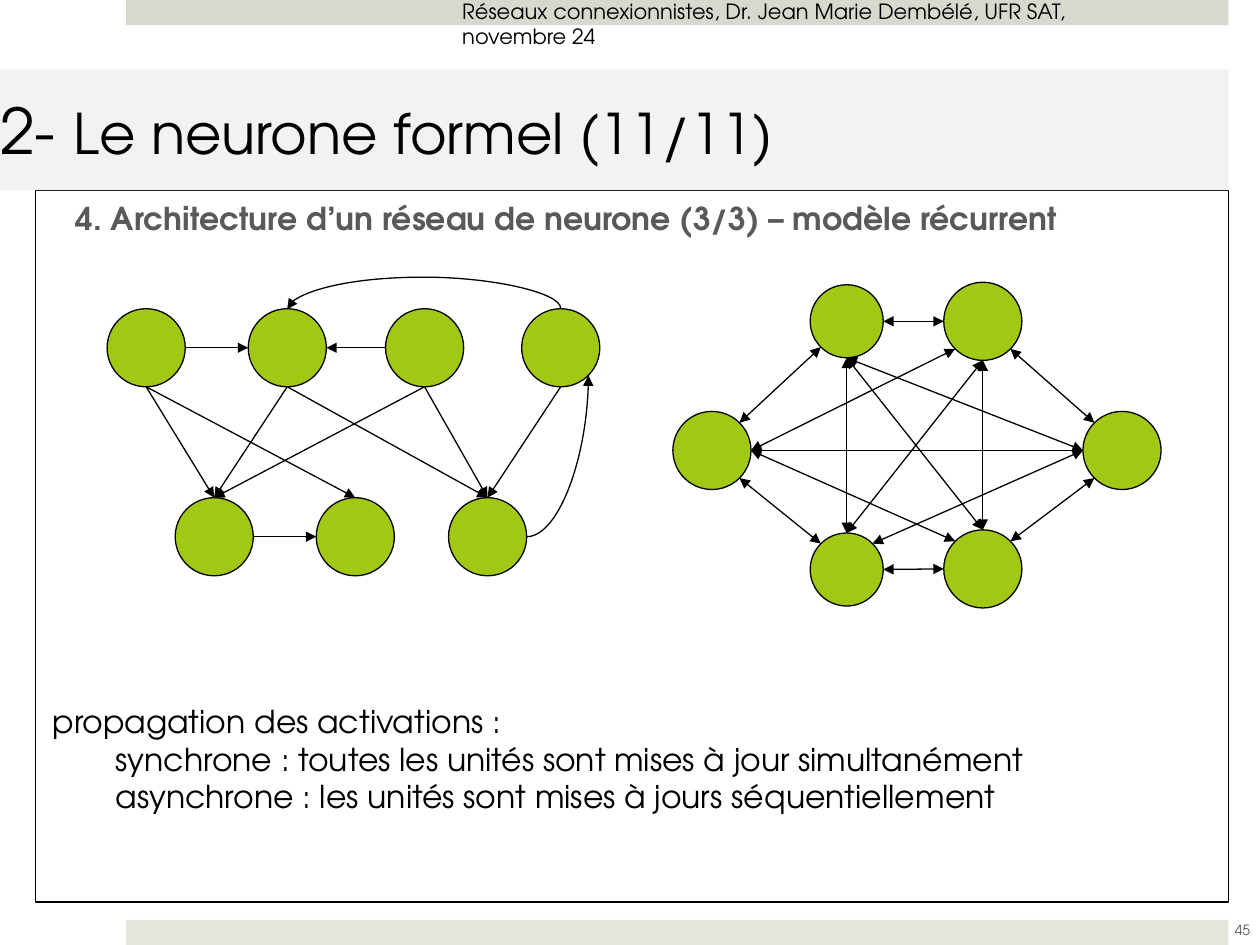
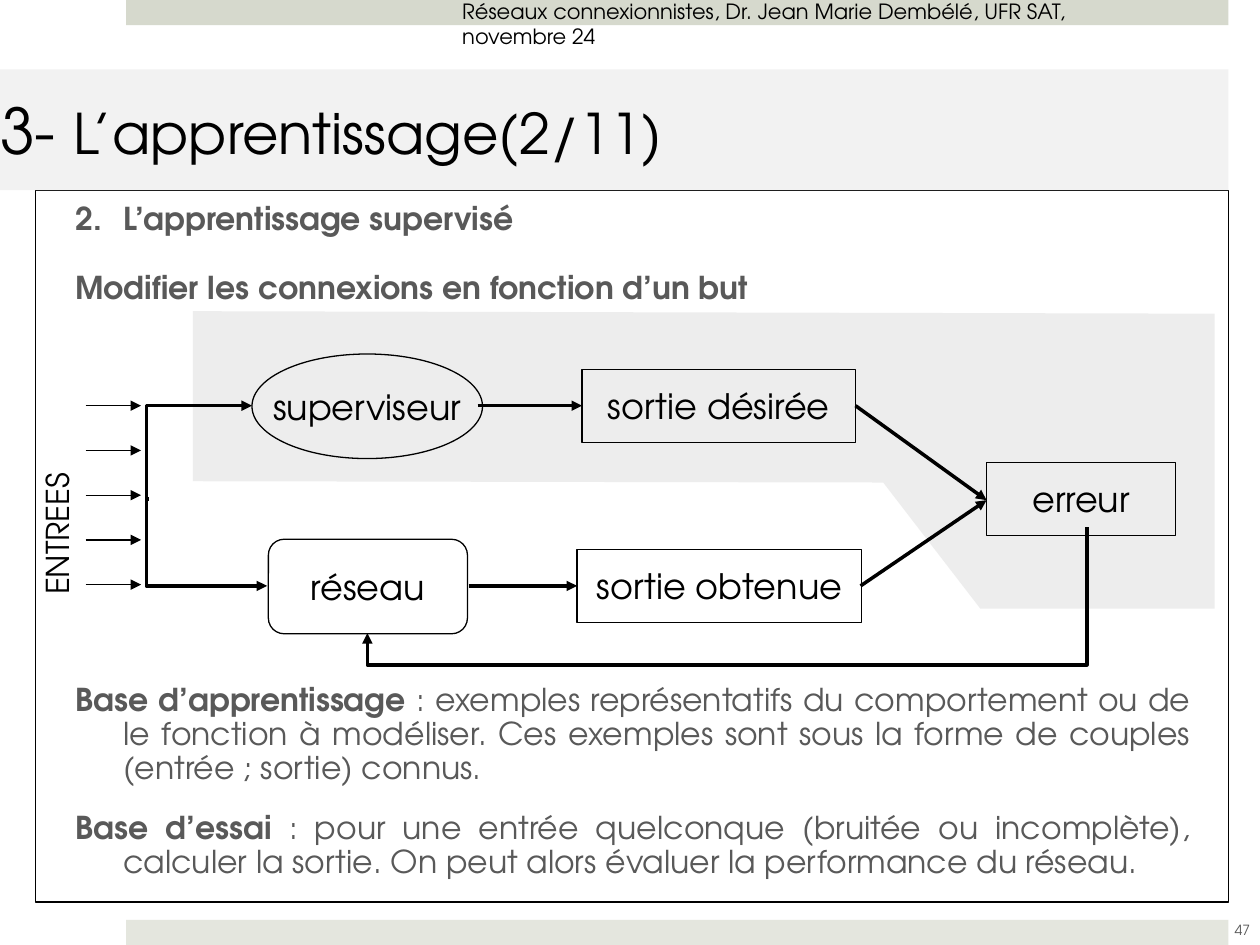
from dataclasses import dataclass
from math import sqrt

from lxml import etree
from pptx import Presentation
from pptx.dml.color import RGBColor
from pptx.enum.shapes import MSO_CONNECTOR, MSO_SHAPE
from pptx.enum.text import MSO_ANCHOR, PP_ALIGN
from pptx.oxml.ns import qn
from pptx.util import Emu, Inches, Pt

W, H = Inches(10), Inches(7.5)
COLS = 100  # the grid has square cells, 100 columns by 75 rows
FONT = "TeX Gyre Adventor"

BLACK = RGBColor(0, 0, 0)
GREY = RGBColor(0x59, 0x59, 0x59)
BAND_TOP = RGBColor(0xD6, 0xD9, 0xCD)
BAND_BOTTOM = RGBColor(0xE4, 0xE6, 0xDE)
TITLE_FILL = RGBColor(0xF2, 0xF2, 0xF2)
ZONE_FILL = RGBColor(0xDD, 0xDD, 0xDD)
NODE_FILL = RGBColor(0xA2, 0xC8, 0x16)

RECT, OVAL, ROUND = MSO_SHAPE.RECTANGLE, MSO_SHAPE.OVAL, MSO_SHAPE.ROUNDED_RECTANGLE
STRAIGHT = MSO_CONNECTOR.STRAIGHT
LEFT, CENTER, JUSTIFY = PP_ALIGN.LEFT, PP_ALIGN.CENTER, PP_ALIGN.JUSTIFY
TOP, MIDDLE = MSO_ANCHOR.TOP, MSO_ANCHOR.MIDDLE

THIN, THICK = 0.75, 2
HEADER = "Réseaux connexionnistes, Dr. Jean Marie Dembélé, UFR SAT, novembre 24"
HANGING = dict(align=JUSTIFY, line_spacing=0.9, margin=3.8, indent=-3.8, color=GREY)

Point = tuple[float, float]
Box = tuple[float, float, float, float]


@dataclass(frozen=True)
class Node:
    """A neuron, given by its centre and radius in grid cells."""
    x: float
    y: float
    r: float = 3.1

    def side(self, compass: str) -> Point:
        dx = ("E" in compass) - ("W" in compass)
        dy = ("S" in compass) - ("N" in compass)
        reach = self.r / sqrt(dx * dx + dy * dy)
        return self.x + dx * reach, self.y + dy * reach


@dataclass(frozen=True)
class Block:
    label: str
    kind: MSO_SHAPE
    box: Box


@dataclass(frozen=True)
class Route:
    """A bent or curved arrow: unrotated box, geometry and turns."""
    geometry: str
    box: Box
    weight: float
    adjust: float | None = None
    rotation: int = 0
    flip: str = ""


def cells(n: float) -> Emu:
    return Emu(round(n * W / COLS))


def write(tf, *runs, size=18, color=BLACK, bold=False, align=LEFT, before=0,
          line_spacing=None, margin=0, indent=0, number=None):
    """Add a paragraph; a run is a text, or a text with its own format."""
    p = tf.paragraphs[0]
    if p.runs:
        p = tf.add_paragraph()
    pPr = p._p.get_or_add_pPr()
    if margin:
        pPr.set("marL", str(cells(margin)))
        pPr.set("indent", str(cells(indent)))
    if number:
        etree.SubElement(pPr, qn("a:buAutoNum"), type="arabicPeriod", startAt=str(number))
    p.alignment = align
    p.space_before = Pt(before)
    if line_spacing:
        p.line_spacing = line_spacing
    for run in runs:
        text, own = (run, {}) if isinstance(run, str) else run
        r = p.add_run()
        r.text = text
        r.font.name = FONT
        r.font.size = Pt(own.get("size", size))
        r.font.bold = own.get("bold", bold)
        r.font.color.rgb = color


def set_frame(tf, insets: Box = (1, 0.5, 1, 0.5), anchor=TOP, wrap=True):
    left, top, right, bottom = map(cells, insets)
    tf.margin_left, tf.margin_top, tf.margin_right, tf.margin_bottom = left, top, right, bottom
    tf.vertical_anchor = anchor
    tf.word_wrap = wrap


def add_text_box(s, box: Box, anchor=TOP):
    sp = s.shapes.add_textbox(*map(cells, box))
    set_frame(sp.text_frame, anchor=anchor)
    return sp


def paint(sp, fill=None, outline: float | None = None):
    sp.shadow.inherit = False
    if fill is None:
        sp.fill.background()
    else:
        sp.fill.solid()
        sp.fill.fore_color.rgb = fill
    if outline is None:
        sp.line.fill.background()
    else:
        sp.line.color.rgb = BLACK
        sp.line.width = Pt(outline)


def add_shape(s, kind, box: Box, fill=None, outline: float | None = None):
    sp = s.shapes.add_shape(kind, *map(cells, box))
    paint(sp, fill, outline)
    return sp


def arrow(s, start: Point, end: Point, weight: float = THIN, both=False):
    cx = s.shapes.add_connector(STRAIGHT, *map(cells, (*start, *end)))
    cx.line.color.rgb = BLACK
    cx.line.width = Pt(weight)
    ln = cx.line._get_or_add_ln()
    for tag in ("a:headEnd", "a:tailEnd") if both else ("a:tailEnd",):
        etree.SubElement(ln, qn(tag), type="triangle")
    etree.SubElement(cx._element.spPr, qn("a:effectLst"))
    return cx


def route_arrow(s, route: Route):
    x, y, w, h = route.box
    spPr = arrow(s, (x, y), (x + w, y + h), route.weight)._element.spPr
    xfrm = spPr.find(qn("a:xfrm"))
    if route.rotation:
        xfrm.set("rot", str(route.rotation * 60000))
    for axis in route.flip:
        xfrm.set("flip" + axis, "1")
    geom = spPr.find(qn("a:prstGeom"))
    geom.set("prst", route.geometry)
    if route.adjust is not None:
        etree.SubElement(geom.find(qn("a:avLst")), qn("a:gd"), name="adj1",
                         fmla=f"val {round(route.adjust * 100000)}")


def add_page(prs, number: str, title: str, page: int):
    """Draw the shared bands, header, title and frame; return slide and frame text."""
    s = prs.slides.add_slide(prs.slide_layouts[6])
    add_shape(s, RECT, (10, 0, 87.5, 2), BAND_TOP)
    add_shape(s, RECT, (10, 73, 87.5, 2), BAND_BOTTOM)
    body = add_shape(s, RECT, (2.8, 15.1, 94.7, 56.5), outline=THIN).text_frame
    set_frame(body, (3.2, 1, 3, 1))
    footer = add_text_box(s, (96.1, 71.8, 5, 4), MIDDLE)
    write(footer.text_frame, str(page), size=8, color=GREY, align=CENTER)
    write(add_text_box(s, (35.7, -0.6, 57.5, 3)).text_frame, HEADER, size=12)
    tf = add_shape(s, RECT, (0, 5.5, 97.5, 9.6), TITLE_FILL).text_frame
    set_frame(tf, (0, 0.5, 3, 0.5), MIDDLE)
    write(tf, (number + "- ", dict(size=36)), title, size=32)
    return s, body


def draw_network(s, nodes: dict[str, Node], links: str, both=False):
    """Draw nodes and links; a link reads node.side-node.side."""
    for node in nodes.values():
        add_shape(s, OVAL, (node.x - node.r, node.y - node.r, 2 * node.r, 2 * node.r),
                  NODE_FILL, THIN)
    for link in links.split():
        ends = [end.split(".") for end in link.split("-")]
        start, end = (nodes[name].side(compass) for name, compass in ends)
        arrow(s, start, end, both=both)


def build_architecture(prs):
    s, body = add_page(prs, "2", "Le neurone formel (11/11)", 45)
    write(body, "4. Architecture d’un réseau de neurone (3/3) – modèle récurrent",
          bold=True, color=GREY, align=JUSTIFY, line_spacing=0.9)

    layers = {f"in{i}": Node(x, 27.6) for i, x in enumerate((11.6, 22.8, 33.7, 44.5), 1)}
    layers |= {f"out{i}": Node(x, 42.6) for i, x in enumerate((17, 28.2, 38.7), 1)}
    draw_network(s, layers, """
        in1.S-out1.N in1.S-out2.N in1.E-in2.W in2.S-out1.N in3.W-in2.E
        in2.S-out3.N in3.S-out3.N in3.S-out1.N in4.S-out3.N out1.E-out2.W""")
    route_arrow(s, Route("curvedConnector3", (33.6, 13.65, 0.1, 21.7), THIN, -25, 270, "HV"))
    route_arrow(s, Route("curvedConnector2", (41.8, 29.8, 4.9, 12.8), THIN, flip="V"))

    ring = dict(left=Node(56.5, 35.75), right=Node(89.05, 35.75),
                top1=Node(67.2, 25.5, 2.9), low1=Node(67.2, 45.2, 2.9),
                top2=Node(78, 25.5), low2=Node(78, 45.15))
    draw_network(s, ring, """
        left.SE-low1.NW left.E-low2.NW left.E-right.W left.E-top2.SW top1.SW-left.NE
        top1.S-low1.N top1.S-low2.N top1.S-right.W top1.E-top2.W low2.N-top2.S
        top2.SE-right.NW top2.S-low1.N right.W-low1.NE right.SW-low2.NE low1.E-low2.W""",
                 both=True)

    tf = add_text_box(s, (3.2, 55.2, 92, 10.1)).text_frame
    write(tf, "propagation des activations :")
    for mode in ("synchrone : toutes les unités sont mises à jour simultanément",
                 "asynchrone : les unités sont mises à jours séquentiellement"):
        write(tf, mode, margin=5)


def build_supervised(prs):
    s, body = add_page(prs, "3", "L’apprentissage(2/11)", 47)
    plain = dict(bold=False)
    write(body, "L’apprentissage supervisé", bold=True, number=2, **HANGING)
    write(body, "Modifier les connexions en fonction d’un but", bold=True, before=20, **HANGING)
    write(body, "Base d’apprentissage ",
          (": exemples représentatifs du comportement ou de le fonction à modéliser. "
           "Ces exemples sont sous la forme de couples (entrée ; sortie) connus.", plain),
          bold=True, before=216, **HANGING)
    write(body, "Base d’essai ",
          (": pour une entrée quelconque (bruitée ou incomplète), calculer la sortie. "
           "On peut alors évaluer la performance du réseau.", plain),
          bold=True, before=15, **HANGING)

    zone = [(15.3, 24.7), (15.3, 38.2), (70.1, 38.3), (77.8, 48.3), (96.4, 48.3), (96.4, 24.9)]
    corners = [(cells(x), cells(y)) for x, y in zone]
    builder = s.shapes.build_freeform(*corners[0])
    builder.add_line_segments(corners[1:], close=True)
    sp = builder.convert_to_shape()
    paint(sp, ZONE_FILL)
    color = sp._element.spPr.find(qn("a:solidFill"))[0]
    etree.SubElement(color, qn("a:alpha"), val="50000")

    for block in (Block("superviseur", OVAL, (20, 28.1, 18.3, 8.3)),
                  Block("réseau", ROUND, (21.3, 42.8, 15.8, 7.5)),
                  Block("sortie désirée", RECT, (46.2, 29.3, 21.7, 5.8)),
                  Block("sortie obtenue", RECT, (45.8, 43.6, 22.6, 5.8)),
                  Block("erreur", RECT, (78.3, 36.7, 15, 5.8))):
        tf = add_shape(s, block.kind, block.box, outline=THIN).text_frame
        set_frame(tf, (0, 0, 0, 0), MIDDLE, wrap=False)
        write(tf, block.label, size=20, align=CENTER)

    wanted, obtained, error = 32.2, 46.5, (78.3, 39.7)
    for start, end in (((37.9, wanted), (46.2, wanted)), ((37.2, obtained), (45.8, obtained)),
                       ((67.9, wanted), error), ((68.3, obtained), error)):
        arrow(s, start, end, THICK)
    for route in (Route("bentConnector3", (53.5, 17.5, 8.4, 57.1), THICK, 1.3, 90),
                  Route("bentConnector3", (11.7, wanted, 8.3, 7.5), THICK, -0.01, flip="V"),
                  Route("bentConnector3", (11.8, 39.6, 9.4, 6.9), THICK, -0.02)):
        route_arrow(s, route)

    for i in range(5):
        y = wanted + 3.55 * i
        arrow(s, (6.8, y), (11.2, y))
    label = add_text_box(s, (-3.9, 36.8, 17.8, 5))
    label.rotation = 270
    write(label.text_frame, "ENTREES")


def main():
    prs = Presentation()
    prs.slide_width, prs.slide_height = W, H
    build_architecture(prs)
    build_supervised(prs)
    prs.save("out.pptx")


if __name__ == "__main__":
    main()
